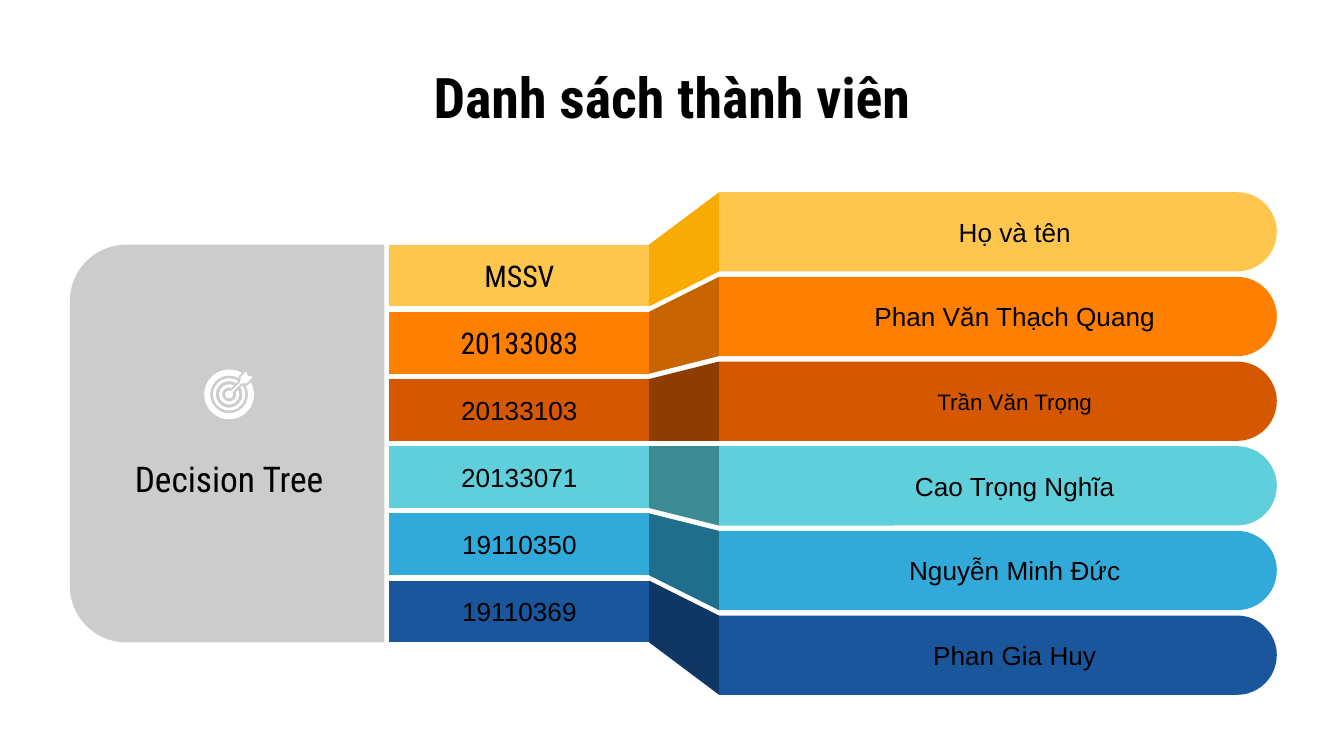
from pptx import Presentation
from pptx.dml.color import RGBColor
from pptx.enum.shapes import MSO_SHAPE
from pptx.enum.text import MSO_ANCHOR, PP_ALIGN
from pptx.util import Pt

PX = 4572  # EMU in one px, 200 px to the inch

BLACK = RGBColor(0x00, 0x00, 0x00)
WHITE = RGBColor(0xFF, 0xFF, 0xFF)
GRAY = RGBColor(0xCC, 0xCC, 0xCC)
GOLD = RGBColor(0xFF, 0xC6, 0x4E)
GOLD_DARK = RGBColor(0xF8, 0xAA, 0x05)
ORANGE = RGBColor(0xFF, 0x80, 0x01)
ORANGE_DARK = RGBColor(0xC7, 0x65, 0x02)
RUST = RGBColor(0xD5, 0x58, 0x00)
RUST_DARK = RGBColor(0x8D, 0x3C, 0x02)
TEAL = RGBColor(0x5F, 0xD0, 0xDB)
TEAL_DARK = RGBColor(0x3D, 0x8B, 0x92)
SKY = RGBColor(0x32, 0xAA, 0xD9)
SKY_DARK = RGBColor(0x21, 0x6D, 0x8C)
NAVY = RGBColor(0x1A, 0x56, 0x9C)
NAVY_DARK = RGBColor(0x10, 0x37, 0x64)

ROBOTO = "Roboto Condensed"
ARIAL = "Arial"

# number, its font and size, name, its size, colour, fold colour
ROWS = [
    ("MSSV", ROBOTO, 16, "Họ và tên", 14, GOLD, GOLD_DARK),
    ("20133083", ROBOTO, 16, "Phan Văn Thạch Quang", 14, ORANGE, ORANGE_DARK),
    ("20133103", ARIAL, 14, "Trần Văn Trọng", 12, RUST, RUST_DARK),
    ("20133071", ARIAL, 14, "Cao Trọng Nghĩa", 14, TEAL, TEAL_DARK),
    ("19110350", ARIAL, 14, "Nguyễn Minh Đức", 14, SKY, SKY_DARK),
    ("19110369", ARIAL, 14, "Phan Gia Huy", 14, NAVY, NAVY_DARK),
]
TAG_LEFT, TAG_RIGHT, TAG_TOP, TAG_HIGH, TAG_STEP = 579, 966, 364, 92, 100
BAR_LEFT, BAR_RIGHT, BAR_TOP, BAR_HIGH, BAR_STEP = 1070, 1900, 286, 118, 126

# size and band share of each ring of the target
RINGS = [(74, 0.12), (48, 0.09), (30, 0.15)]
DART = [(367, 550), (357, 560), (356, 568), (340, 584), (344, 588),
        (360, 572), (368, 572), (379, 560), (370, 558)]


def emu(*sizes):
    return [size * PX for size in sizes]


def paint(shape, color):
    shape.shadow.inherit = False
    shape.fill.solid()
    shape.fill.fore_color.rgb = color
    shape.line.fill.background()
    return shape


def add_shape(slide, kind, box, color, adjust=()):
    shape = slide.shapes.add_shape(kind, *emu(*box))
    for i, value in enumerate(adjust):
        shape.adjustments[i] = value
    return paint(shape, color)


def add_round(slide, box, color, turn, bend):
    """Add a box with two round corners, turned to fill the box given."""
    left, top, width, height = box
    shift = (width - height) // 2
    turned = (left + shift, top - shift, height, width)
    shape = add_shape(slide, MSO_SHAPE.ROUND_2_SAME_RECTANGLE,
                      turned, color, (bend, 0))
    shape.rotation = turn


def add_poly(slide, points, color):
    pen = slide.shapes.build_freeform(*points[0], scale=PX)
    pen.add_line_segments(points[1:], close=True)
    return paint(pen.convert_to_shape(), color)


def write(frame, text, size=14, font=ARIAL, bold=False):
    frame.word_wrap = True
    frame.vertical_anchor = MSO_ANCHOR.MIDDLE
    frame.margin_left = frame.margin_right = 20 * PX
    frame.margin_top = frame.margin_bottom = 20 * PX
    para = frame.paragraphs[0]
    para.alignment = PP_ALIGN.CENTER
    run = para.add_run()
    run.text = text
    run.font.size = Pt(size)
    run.font.name = font
    run.font.bold = bold
    run.font.color.rgb = BLACK


def add_text(slide, box, text, **style):
    write(slide.shapes.add_textbox(*emu(*box)).text_frame, text, **style)


def add_title(slide, text):
    title = slide.shapes.title
    title.left, title.top, title.width, title.height = emu(100, 90, 1800, 106)
    write(title.text_frame, text, size=30, font=ROBOTO, bold=True)


def add_row(slide, index, row):
    """Add a number tag, a name bar and the fold that joins them."""
    number, font, size, name, name_size, color, dark = row
    tag = TAG_TOP + index * TAG_STEP
    bar = BAR_TOP + index * BAR_STEP
    add_poly(slide, [(TAG_RIGHT, tag), (TAG_RIGHT, tag + TAG_HIGH),
                     (BAR_LEFT, bar + BAR_HIGH), (BAR_LEFT, bar)], dark)
    add_poly(slide, [(TAG_LEFT, tag), (TAG_LEFT, tag + TAG_HIGH),
                     (TAG_RIGHT, tag + TAG_HIGH), (TAG_RIGHT, tag)], color)
    add_round(slide, (BAR_LEFT, bar, BAR_RIGHT - BAR_LEFT, BAR_HIGH),
              color, 90, 0.5)
    add_text(slide, (586, tag + 12, 374, 68), number, size=size, font=font)
    add_text(slide, (1175, bar, 670, BAR_HIGH), name, size=name_size)


def add_target(slide, x, y):
    for size, band in RINGS:
        box = (x - size // 2, y - size // 2, size, size)
        add_shape(slide, MSO_SHAPE.DONUT, box, WHITE, (band,))
    dart = add_poly(slide, DART, WHITE)
    dart.line.color.rgb = GRAY
    dart.line.width = Pt(1)
    add_shape(slide, MSO_SHAPE.OVAL, (x - 6, y - 6, 12, 12), WHITE)


def main():
    deck = Presentation()
    deck.slide_width, deck.slide_height = emu(2000, 1125)
    slide = deck.slides.add_slide(deck.slide_layouts[5])
    add_title(slide, "Danh sách thành viên")
    add_round(slide, (104, 364, 468, 592), GRAY, 270, 0.18)
    add_target(slide, 341, 587)
    add_text(slide, (154, 653, 374, 118), "Decision Tree",
             size=19, font=ROBOTO)
    for index, row in enumerate(ROWS):
        add_row(slide, index, row)
    deck.save("out.pptx")


if __name__ == "__main__":
    main()
